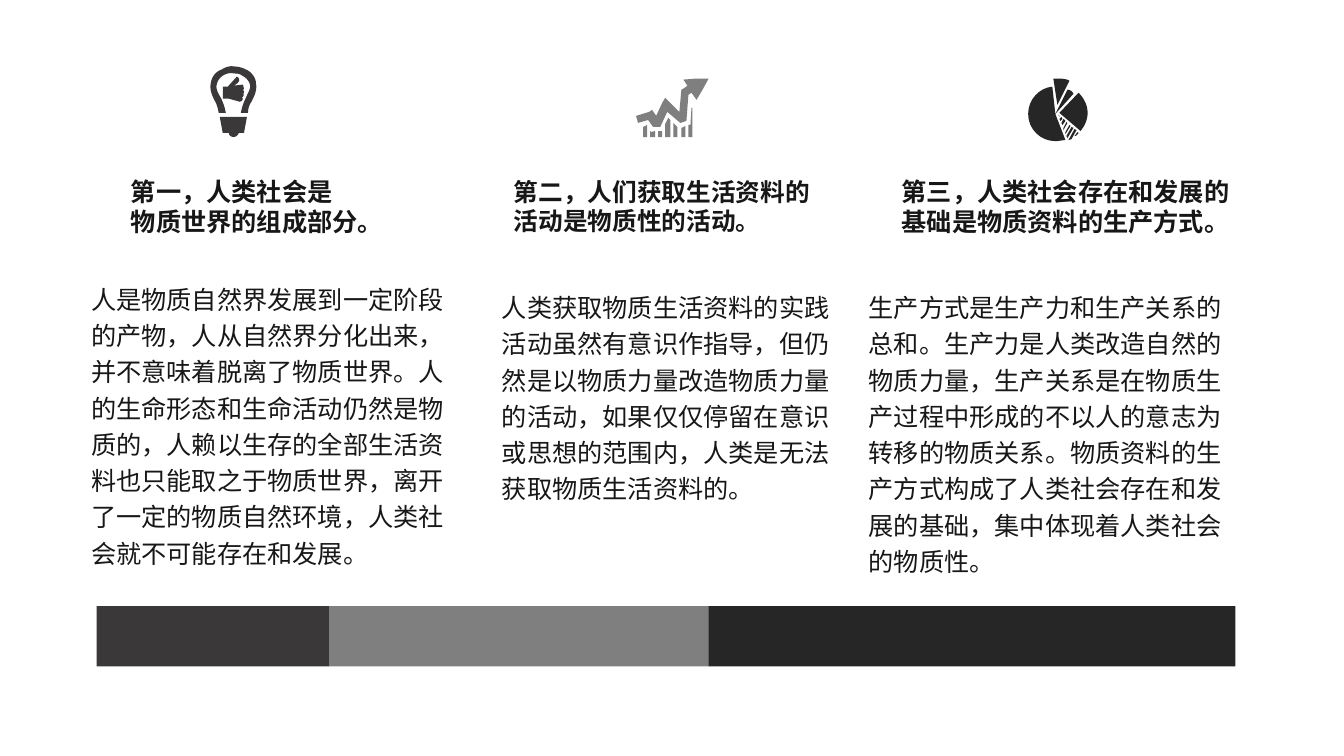
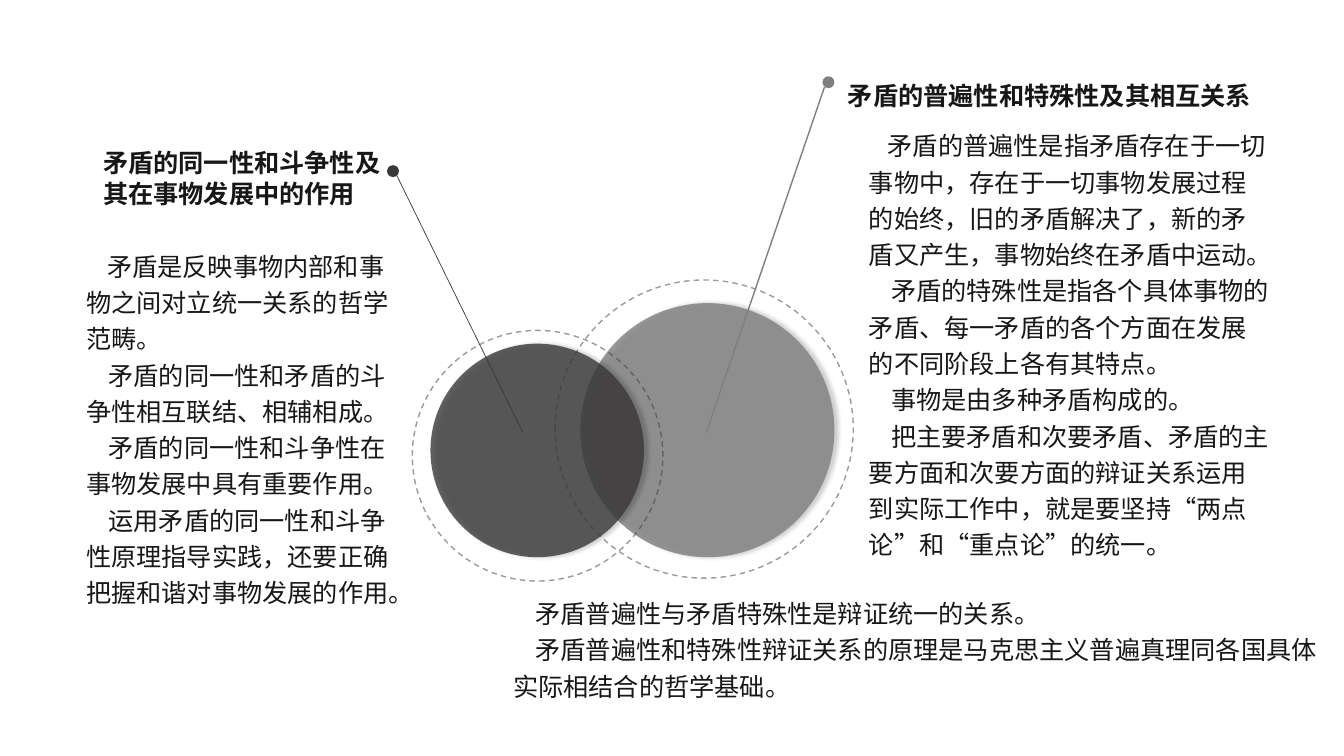
import dataclasses
import itertools
import typing

import lxml.etree
import pptx
import pptx.dml.color
import pptx.enum.dml
import pptx.enum.lang
import pptx.enum.shapes
import pptx.enum.text
import pptx.oxml.ns
import pptx.util

Pt = pptx.util.Pt
RGB = pptx.dml.color.RGBColor
KIND = pptx.enum.shapes.MSO_SHAPE
qn = pptx.oxml.ns.qn

DARK = RGB(0x3A, 0x38, 0x38)
GREY = RGB(0x7F, 0x7F, 0x7F)
BLACK = RGB(0x26, 0x26, 0x26)
INK = RGB(0x18, 0x17, 0x17)
WHITE = RGB(0xFF, 0xFF, 0xFF)
FACE = "Noto Sans CJK SC"
LANG = pptx.enum.lang.MSO_LANGUAGE_ID.SIMPLIFIED_CHINESE
BASE = {"name": FACE, "size": Pt(18), "bold": False, "language_id": LANG}
BODY = {"font": BASE, "line": 1.2}
HEAD = {"font": BASE | {"bold": True}, "line": 1.0}
SLIM = {"font": BASE | {"bold": True, "size": Pt(17.6)}, "line": 1.0}
GRID = Pt(0.72)

Node = tuple[float, ...]
Box = tuple[float, float, float, float]


@dataclasses.dataclass(frozen=True)
class Block:
    box: Box
    lines: list[str]
    style: dict[str, typing.Any]
    indents: tuple[float, ...] = ()


@dataclasses.dataclass(frozen=True)
class Icon:
    color: RGB
    paths: list[list[Node]]


@dataclasses.dataclass(frozen=True)
class Ball:
    color: RGB
    disc: tuple[float, float, float]
    halo: tuple[float, float, float]
    dot: tuple[float, float]
    pin: Box
    width: float


BARS = [(DARK, 166.5), (GREY, 270.5), (BLACK, 376.5)]

PIE = Icon(BLACK, [
    [(1070, 92), (1075, 97, 1079, 104, 1079, 112),
     (1079, 119, 1076, 125, 1072, 130), (1051, 112)],
    [(1070, 132), (1069, 133, 1068, 135, 1066, 135), (1069, 131)],
    [(1063, 138), (1068, 129), (1066, 128), (1060, 139)],
    [(1059, 137), (1065, 127), (1063, 126), (1058, 135)],
    [(1057, 133), (1062, 125), (1061, 124), (1057, 131)],
    [(1055, 129), (1059, 122), (1058, 121), (1055, 127)],
    [(1054, 124), (1057, 120), (1055, 118), (1053, 122)],
    [(1052, 120), (1054, 118), (1053, 116), (1051, 118)],
    [(1051, 116), (1050, 114), (1051, 115)],
    [(1059, 89), (1047, 113), (1044, 86), (1031, 87, 1020, 99, 1020, 113),
     (1020, 128, 1032, 140, 1047, 140), (1051, 140, 1054, 139, 1057, 139),
     (1047, 113), (1065, 93), (1064, 91, 1062, 89, 1059, 89)],
    [(1049, 78), (1045, 78), (1049, 104), (1061, 80),
     (1057, 78, 1053, 78, 1049, 78)],
])

TREND = Icon(GREY, [
    [(683, 136), (687, 136), (687, 107), (686, 107), (685, 124), (683, 124)],
    [(703, 78), (697, 89), (691, 99), (686, 92), (683, 94), (681, 120),
     (675, 122), (662, 111), (655, 126), (648, 126), (643, 119), (633, 122),
     (631, 115), (644, 111), (647, 109), (651, 115), (657, 102), (660, 97),
     (664, 101), (674, 111), (676, 89), (678, 88), (682, 85), (678, 79),
     (690, 78)],
    [(645, 136), (650, 136), (650, 130), (646, 131), (645, 130)],
    [(638, 136), (642, 136), (642, 124), (638, 126)],
    [(653, 136), (657, 136), (657, 130), (653, 130)],
    [(660, 136), (665, 136), (665, 119), (663, 117), (660, 123)],
    [(668, 136), (672, 136), (672, 126), (668, 122)],
    [(676, 136), (680, 136), (680, 125), (676, 127)],
])

BULB = Icon(DARK, [
    [(218, 116), (245, 116), (242, 132), (237, 132),
     (236, 134, 234, 136, 232, 136), (229, 136, 227, 134, 227, 132),
     (221, 132)],
    [(241, 84), (242, 88), (241, 90), (242, 90), (242, 93), (240, 93),
     (242, 94), (241, 96), (240, 97), (241, 98), (240, 100), (238, 101),
     (227, 98), (221, 98), (221, 86), (226, 86), (235, 76),
     (240, 79, 236, 83, 232, 85)],
    [(217, 112), (224, 112), (223, 106, 221, 101, 219, 97),
     (216, 92, 214, 88, 215, 84), (216, 79, 219, 76, 223, 74),
     (225, 73, 229, 72, 232, 73), (235, 73, 238, 73, 240, 75),
     (244, 77, 247, 80, 248, 84), (249, 88, 246, 92, 244, 97),
     (242, 101, 240, 106, 239, 112), (246, 112),
     (246, 107, 248, 103, 250, 100), (253, 94, 255, 89, 254, 83),
     (254, 77, 249, 71, 244, 69), (240, 67, 236, 66, 232, 66),
     (228, 65, 223, 67, 220, 69), (214, 71, 210, 76, 209, 83),
     (208, 89, 210, 94, 213, 100), (215, 103, 216, 107, 217, 112)],
])

BALLS = [
    Ball(GREY, (414.5, 216.5, 181.5), (396.5, 200, 213), (587.5, 54.5),
         (589, 62, 504.5, 309), 1),
    Ball(DARK, (307.5, 245.5, 152.5), (294.5, 236, 179), (276.5, 118),
         (283.5, 125.5, 373.5, 309), 0.5),
]

WORLD = [
    Block((58, 195, 270, 207), [
        "人是物质自然界发展到一定阶段的产物，人从自然界分化出来，并不意味着脱离了物质世界。"
        "人的生命形态和生命活动仍然是物质的，人赖以生存的全部生活资料也只能取之于物质世界，"
        "离开了一定的物质自然环境，人类社会就不可能存在和发展。"], BODY),
    Block((86.5, 122.5, 200, 52.5),
          ["第一，人类社会是", "物质世界的组成部分。"], HEAD),
    Block((351.5, 201, 249, 202), [
        "人类获取物质生活资料的实践活动虽然有意识作指导，但仍然是以物质力量改造物质力量的活动，"
        "如果仅仅停留在意识或思想的范围内，人类是无法获取物质生活资料的。"], BODY),
    Block((360, 122.5, 230.5, 50),
          ["第二，人们获取生活资料的", "活动是物质性的活动。"], SLIM),
    Block((613.5, 201, 269, 202), [
        "生产方式是生产力和生产关系的总和。生产力是人类改造自然的物质力量，"
        "生产关系是在物质生产过程中形成的不以人的意志为转移的物质关系。"
        "物质资料的生产方式构成了人类社会存在和发展的基础，集中体现着人类社会的物质性。"], BODY),
    Block((637, 122.5, 258.5, 50),
          ["第三，人类社会存在和发展的", "基础是物质资料的生产方式。"], HEAD),
]

CLASH = [
    Block((54.5, 171.5, 238, 301.5), [
        "矛盾是反映事物内部和事物之间对立统一关系的哲学范畴。",
        "矛盾的同一性和矛盾的斗争性相互联结、相辅相成。",
        "矛盾的同一性和斗争性在事物发展中具有重要作用。",
        "运用矛盾的同一性和斗争性原理指导实践，还要正确把握和谐对事物发展的作用。",
    ], BODY, (15, 16, 16, 16)),
    Block((66.5, 102, 214, 48),
          ["矛盾的同一性和斗争性及", "其在事物发展中的作用"], HEAD),
    Block((613.5, 85.5, 301, 340.5), [
        "矛盾的普遍性是指矛盾存在于一切事物中，存在于一切事物发展过程的始终，"
        "旧的矛盾解决了，新的矛盾又产生，事物始终在矛盾中运动。",
        "矛盾的特殊性是指各个具体事物的矛盾、每一矛盾的各个方面在发展的不同阶段上各有其特点。",
        "事物是由多种矛盾构成的。",
        "把主要矛盾和次要矛盾、矛盾的主要方面和次要方面的辩证关系运用到实际工作中，"
        "就是要坚持“两点论”和“重点论”的统一。",
    ], BODY, (13.5, 16, 16, 16)),
    Block((598.5, 53.5, 306.5, 49), ["矛盾的普遍性和特殊性及其相互关系"], HEAD),
]

NOTE = Block((359.5, 426, 590, 72), [
    "矛盾普遍性与矛盾特殊性是辩证统一的关系。",
    "矛盾普遍性和特殊性辩证关系的原理是马克思主义普遍真理同各国具体实际相结合的哲学基础。",
], BODY, (16, 16))


def write(shape, block: Block) -> None:
    frame = shape.text_frame
    frame.word_wrap = True
    pairs = itertools.zip_longest(block.lines, block.indents, fillvalue=0)
    for i, (text, indent) in enumerate(pairs):
        para = frame.add_paragraph() if i else frame.paragraphs[0]
        para.alignment = pptx.enum.text.PP_ALIGN.LEFT
        para.line_spacing = block.style["line"]
        if indent:
            props = para._p.get_or_add_pPr()
            props.set("marL", "0")
            props.set("indent", str(Pt(indent)))
        run = para.add_run()
        run.text = text
        for key, value in block.style["font"].items():
            setattr(run.font, key, value)
        run.font.color.rgb = INK
        east = lxml.etree.SubElement(run._r.get_or_add_rPr(), qn("a:ea"))
        east.set("typeface", FACE)


def place(slide, block: Block) -> None:
    write(slide.shapes.add_textbox(*map(Pt, block.box)), block)


def paint(shape, color: RGB) -> None:
    shape.shadow.inherit = False
    shape.fill.solid()
    shape.fill.fore_color.rgb = color
    shape.line.fill.background()


def draw(slide, kind, box: Box, color: RGB):
    shape = slide.shapes.add_shape(kind, *map(Pt, box))
    paint(shape, color)
    return shape


def fade(shape, share: int) -> None:
    for tint in shape._element.spPr.iter(qn("a:srgbClr")):
        lxml.etree.SubElement(tint, qn("a:alpha")).set("val", str(share * 1000))


def shade(shape) -> None:
    effect = shape._element.spPr.find(qn("a:effectLst"))
    outer = lxml.etree.SubElement(effect, qn("a:outerShdw"))
    marks = {"blurRad": str(Pt(3)), "dist": str(Pt(3)), "dir": "0",
             "algn": "l", "rotWithShape": "0"}
    for key, value in marks.items():
        outer.set(key, value)
    tint = lxml.etree.SubElement(outer, qn("a:srgbClr"))
    tint.set("val", "000000")
    lxml.etree.SubElement(tint, qn("a:alpha")).set("val", "23000")


def trace(path: list[Node], steps: int = 8) -> list[Node]:
    points = [path[0]]
    for node in path[1:]:
        if len(node) == 2:
            points.append(node)
            continue
        curve = [points[-1], node[:2], node[2:4], node[4:]]
        for i in range(1, steps + 1):
            t = i / steps
            rates = ((1 - t) ** 3, 3 * t * (1 - t) ** 2,
                     3 * t * t * (1 - t), t ** 3)
            points.append(tuple(sum(r * p[axis] for r, p in zip(rates, curve))
                                for axis in (0, 1)))
    return [(x * GRID, y * GRID) for x, y in points]


def sketch(slide, icon: Icon) -> None:
    first, *rest = map(trace, icon.paths)
    pen = slide.shapes.build_freeform(*first[0], scale=1.0)
    pen.add_line_segments(first[1:], close=True)
    for points in rest:
        pen.move_to(*points[0])
        pen.add_line_segments(points[1:], close=True)
    paint(pen.convert_to_shape(), icon.color)


def orb(slide, ball: Ball) -> None:
    x, y, size = ball.disc
    disc = draw(slide, KIND.OVAL, (x, y, size, size), ball.color)
    fade(disc, 80)
    shade(disc)
    x, y, size = ball.halo
    halo = draw(slide, KIND.OVAL, (x, y, size, size), WHITE)
    halo.fill.background()
    halo.line.color.rgb = DARK
    halo.line.width = Pt(1)
    halo.line.dash_style = pptx.enum.dml.MSO_LINE.DASH
    fade(halo, 50)


def pin(slide, ball: Ball) -> None:
    line = slide.shapes.add_connector(
        pptx.enum.shapes.MSO_CONNECTOR.STRAIGHT, *map(Pt, ball.pin))
    line.line.color.rgb = ball.color
    line.line.width = Pt(ball.width)
    lxml.etree.SubElement(line._element.spPr, qn("a:effectLst"))
    draw(slide, KIND.OVAL, (*ball.dot, 8.5, 8.5), ball.color)


def main() -> None:
    deck = pptx.Presentation()
    deck.slide_width, deck.slide_height = Pt(960), Pt(540)
    blank = deck.slide_layouts[6]

    slide = deck.slides.add_slide(blank)
    left = 69.0
    for color, width in BARS:
        draw(slide, KIND.RECTANGLE, (left, 433, width, 43), color)
        left += width
    for icon in (PIE, TREND, BULB):
        sketch(slide, icon)
    for block in WORLD:
        place(slide, block)

    slide = deck.slides.add_slide(blank)
    for step in (orb, pin):
        for ball in BALLS:
            step(slide, ball)
    for block in CLASH:
        place(slide, block)
    write(draw(slide, KIND.RECTANGLE, NOTE.box, WHITE), NOTE)

    deck.save("out.pptx")


if __name__ == "__main__":
    main()
